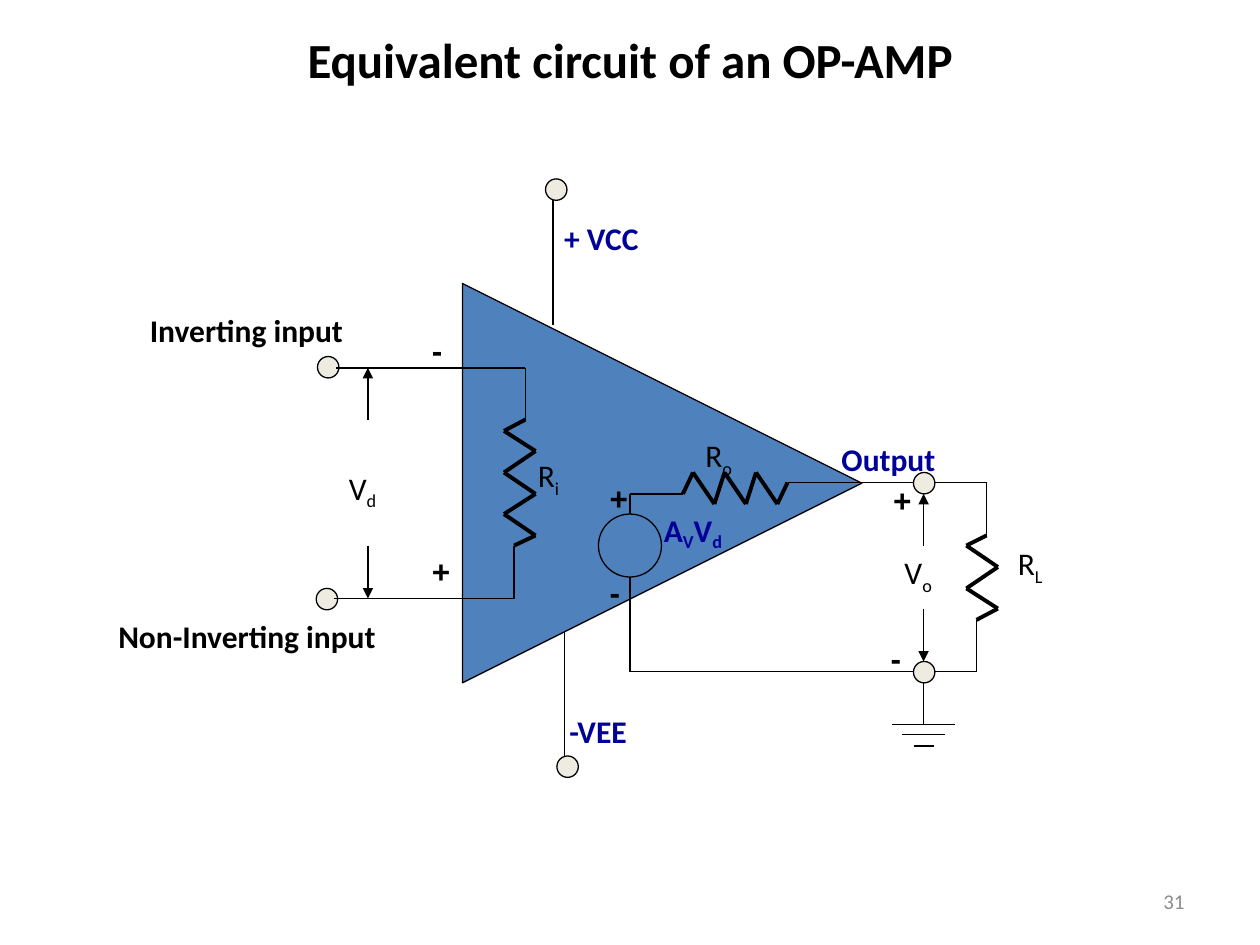
from dataclasses import dataclass
from itertools import pairwise

import lxml.etree
import pptx
import pptx.dml.color
import pptx.enum.shapes
import pptx.enum.text
import pptx.oxml.ns
import pptx.util
from pptx.util import Inches

Point = tuple[float, float]
Shape = pptx.enum.shapes.MSO_SHAPE
Align = pptx.enum.text.PP_ALIGN


@dataclass(frozen=True)
class Theme:
    black: str = "000000"
    navy: str = "000099"
    grey: str = "8C8C8C"
    amplifier: str = "4F81BD"
    terminal: str = "EEECE1"
    text_font: str = "Calibri"
    sign_font: str = "Arial"
    title_size: float = 28
    label_size: float = 18
    number_size: float = 12
    thin: float = 0.75
    thick: float = 2.25
    terminal_size: float = 0.17


THEME = Theme()


@dataclass(frozen=True)
class Label:
    left: float
    top: float
    width: float
    text: str
    color: str = THEME.black
    font: str = THEME.text_font


@dataclass(frozen=True)
class Symbol:
    """A quantity; its letters alternate between normal text and subscript."""
    left: float
    top: float
    width: float
    letters: tuple[str, ...]
    color: str = THEME.black
    bold: bool = False
    drop: int = 25
    height: float = 0.43


def rgb(value: str) -> pptx.dml.color.RGBColor:
    return pptx.dml.color.RGBColor.from_string(value)


def style_run(span, font: str, size: float, color: str, bold: bool) -> None:
    span.font.name = font
    span.font.size = pptx.util.Pt(size)
    span.font.bold = bold
    span.font.color.rgb = rgb(color)


def add_line(page, start: Point, end: Point, weight: float = THEME.thin, arrow: bool = False) -> None:
    line = page.shapes.add_connector(
        pptx.enum.shapes.MSO_CONNECTOR.STRAIGHT, *map(Inches, (*start, *end)))
    line.line.color.rgb = rgb(THEME.black)
    line.line.width = pptx.util.Pt(weight)
    if arrow:
        outline = line.line._get_or_add_ln()
        lxml.etree.SubElement(outline, pptx.oxml.ns.qn("a:tailEnd"), type="triangle")
    lxml.etree.SubElement(line._element.spPr, pptx.oxml.ns.qn("a:effectLst"))


def add_wire(page, points: list[Point], weight: float = THEME.thin) -> None:
    for start, end in pairwise(points):
        add_line(page, start, end, weight)


def add_outline(page, kind, left: float, top: float, size: float, fill: str | None):
    shape = page.shapes.add_shape(kind, *map(Inches, (left, top, size, size)))
    shape.shadow.inherit = False
    if fill:
        shape.fill.solid()
        shape.fill.fore_color.rgb = rgb(fill)
    else:
        shape.fill.background()
    shape.line.color.rgb = rgb(THEME.black)
    shape.line.width = pptx.util.Pt(THEME.thin)
    return shape


def add_terminal(page, left: float, top: float) -> None:
    add_outline(page, Shape.OVAL, left, top, THEME.terminal_size, THEME.terminal)


def add_box(page, left: float, top: float, width: float, height: float):
    box = page.shapes.add_textbox(*map(Inches, (left, top, width, height)))
    box.text_frame.word_wrap = False
    box.text_frame.auto_size = pptx.enum.text.MSO_AUTO_SIZE.SHAPE_TO_FIT_TEXT
    return box


def add_label(page, label: Label) -> None:
    box = add_box(page, label.left, label.top, label.width, 0.4)
    box.text_frame.text = label.text
    span = box.text_frame.paragraphs[0].runs[0]
    style_run(span, label.font, THEME.label_size, label.color, True)


def add_symbol(page, symbol: Symbol) -> None:
    box = add_box(page, symbol.left, symbol.top, symbol.width, symbol.height)
    para = box.text_frame.paragraphs[0]
    properties = para._p.get_or_add_pPr()
    properties.set("marL", str(Inches(0.38)))
    properties.set("indent", str(-Inches(0.38)))
    for index, letter in enumerate(symbol.letters):
        span = para.add_run()
        span.text = letter
        style_run(span, THEME.text_font, THEME.label_size, symbol.color, symbol.bold)
        if index % 2:
            span.font._element.set("baseline", str(-symbol.drop * 1000))


def add_title(page) -> None:
    title = page.shapes.title
    title.left, title.top, title.width, title.height = map(Inches, (0.5, 0.08, 9, 0.78))
    title.text_frame.text = "Equivalent circuit of an OP-AMP"
    title.text_frame.vertical_anchor = pptx.enum.text.MSO_ANCHOR.MIDDLE
    para = title.text_frame.paragraphs[0]
    para.alignment = Align.CENTER
    style_run(para.runs[0], THEME.text_font, THEME.title_size, THEME.black, True)


def add_page_number(page) -> None:
    box = page.shapes.add_textbox(*map(Inches, (7.17, 6.95, 2.33, 0.4)))
    box.text_frame.word_wrap = True
    box.text_frame.vertical_anchor = pptx.enum.text.MSO_ANCHOR.MIDDLE
    box.text_frame.text = "31"
    para = box.text_frame.paragraphs[0]
    para.alignment = Align.RIGHT
    style_run(para.runs[0], THEME.text_font, THEME.number_size, THEME.grey, False)


SUPPLY_AND_OUTPUT = [[(6.75, 3.83), (7.83, 3.83)], [(4.48, 5), (4.48, 6.08)],
                     [(4.39, 1.5), (4.39, 2.58)]]
TERMINALS = [(2.51, 4.67), (2.52, 2.83), (4.42, 6), (4.33, 1.42), (7.25, 3.75)]
RESISTORS = [
    # Input, output and load
    [(4.17, 3.33), (4, 3.42), (4.25, 3.58), (4, 3.75), (4.25, 3.92), (4, 4.08),
     (4.25, 4.25), (4.08, 4.33)],
    [(5.42, 3.92), (5.5, 3.75), (5.67, 4), (5.75, 3.75), (5.92, 4), (6, 3.75),
     (6.17, 4), (6.25, 3.83)],
    [(7.83, 4.25), (7.67, 4.33), (7.92, 4.5), (7.67, 4.67), (7.92, 4.83), (7.75, 4.92)],
]
WIRES = [
    [(2.67, 2.92), (4.17, 2.92), (4.17, 3.33)],
    [(2.65, 4.75), (4.08, 4.75), (4.08, 4.33)],
    [(6.25, 3.83), (6.83, 3.83)],
    [(5.42, 3.92), (5, 3.92), (5, 4.08)],
    [(5, 4.58), (5, 5.33), (7.75, 5.33), (7.75, 4.92)],
    [(7.83, 4.25), (7.83, 3.83)],
]
# Each voltage has an arrow up and an arrow down: x, then start and end heights
VOLTAGE_ARROWS = [(7.33, (4.33, 3.92), (4.83, 5.25)), (2.92, (3.33, 2.92), (4.33, 4.75))]
SIGNS = [(3.33, 2.58, "-"), (3.33, 4.33, "+"), (4.74, 3.75, "+"), (4.74, 4.5, "-"),
         (6.97, 5.02, "-"), (6.99, 3.77, "+")]
SIGN_WIDTHS = {"+": 0.35, "-": 0.28}
LABELS = [
    Label(4.38, 1.69, 0.94, "+ VCC", THEME.navy),
    Label(4.42, 5.6, 0.84, "-VEE", THEME.navy),
    Label(6.58, 3.44, 1.25, "Output", THEME.navy),
    Label(1.09, 2.42, 1.99, "Inverting input"),
    Label(0.84, 4.85, 2.61, "Non-Inverting input"),
] + [Label(left, top, SIGN_WIDTHS[sign], sign, font=THEME.sign_font) for left, top, sign in SIGNS]
SYMBOLS = [
    Symbol(7.98, 4.27, 0.48, ("R", "L")),
    Symbol(5.5, 3.41, 0.47, ("R", "o")),
    Symbol(5.17, 4.01, 0.76, ("A", "V", "V", "d"), THEME.navy, True, 18, 0.4),
    Symbol(7.08, 4.34, 0.48, ("V", "o")),
    Symbol(4.17, 3.57, 0.43, ("R", "i")),
    Symbol(2.67, 3.67, 0.49, ("V", "d")),
]


def main() -> None:
    deck = pptx.Presentation()
    deck.slide_width, deck.slide_height = Inches(10), Inches(7.5)
    page = deck.slides.add_slide(deck.slide_layouts[5])
    add_title(page)
    # Amplifier body over its supply and output leads
    for points in SUPPLY_AND_OUTPUT:
        add_wire(page, points)
    add_outline(page, Shape.ISOSCELES_TRIANGLE, 3.67, 2.25, 3.17, THEME.amplifier).rotation = 90
    # Circuit
    for left, top in TERMINALS:
        add_terminal(page, left, top)
    for points in RESISTORS:
        add_wire(page, points, THEME.thick)
    for points in WIRES:
        add_wire(page, points)
    add_outline(page, Shape.OVAL, 4.75, 4.08, 0.5, None)
    add_terminal(page, 7.25, 5.25)
    for x, *heights in VOLTAGE_ARROWS:
        for start, end in heights:
            add_line(page, (x, start), (x, end), arrow=True)
    # Ground
    add_line(page, (7.33, 5.75), (7.33, 5.42))
    for y, half in ((5.75, 0.25), (5.83, 0.17), (5.92, 0.08)):
        add_line(page, (7.33 - half, y), (7.33 + half, y))
    # Wording
    for label in LABELS:
        add_label(page, label)
    for symbol in SYMBOLS:
        add_symbol(page, symbol)
    add_page_number(page)
    deck.save("out.pptx")


if __name__ == "__main__":
    main()
